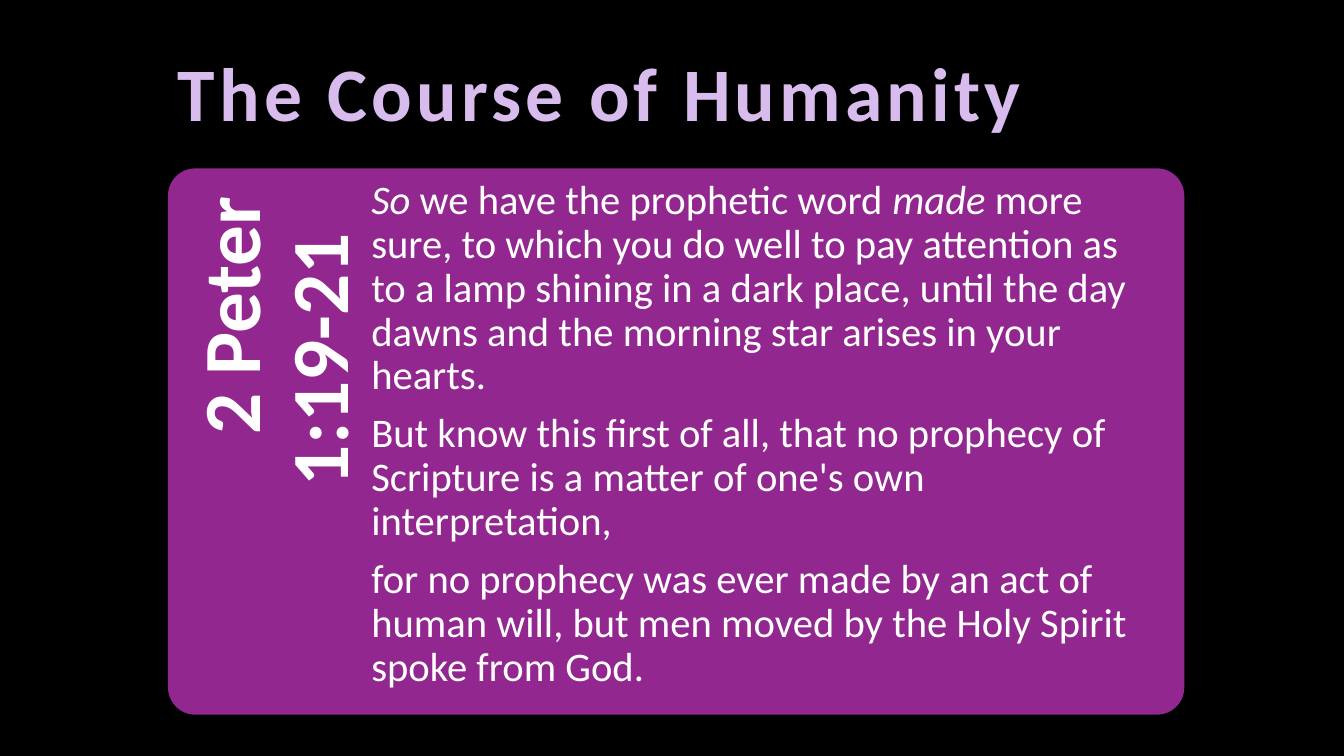
"""Build the slide "The Course of Humanity" with its scripture panel."""
from pptx import Presentation
from pptx.dml.color import RGBColor
from pptx.enum.shapes import MSO_SHAPE
from pptx.enum.text import MSO_ANCHOR, PP_ALIGN
from pptx.util import Inches, Pt

COLORS = {"background": "000000", "title": "D7BCED", "panel": "92278F", "text": "FFFFFF"}
WIDTH, HEIGHT = 13.33, 7.5
LEFT = WIDTH / 8
PANEL_TOP, PANEL_WIDTH, PANEL_HEIGHT = 1.67, 10.08, 5.42
REFERENCE_WIDTH = PANEL_WIDTH / 5
REFERENCE_LENGTH = 4.44

VERSES = [
    [("So", True), (" we have the prophetic word ", False), ("made", True),
     (" more sure, to which you do well to pay attention as to a lamp shining in a dark place, "
      "until the day dawns and the morning star arises in your hearts.", False)],
    [("But know this first of all, that no prophecy of Scripture is a matter of one's own "
      "interpretation,", False)],
    [("for no prophecy was ever made by an act of human will, but men moved by the Holy Spirit "
      "spoke from God.", False)],
]


def add_text_box(slide, position, insets, anchor=MSO_ANCHOR.TOP):
    box = slide.shapes.add_textbox(*[Inches(length) for length in position])
    frame = box.text_frame
    frame.word_wrap = True
    frame.vertical_anchor = anchor
    frame.margin_left, frame.margin_top, frame.margin_right, frame.margin_bottom = [
        Inches(inset) for inset in insets]
    return box


def add_run(paragraph, text, size, color, bold=False, italic=False):
    paragraph.line_spacing = 0.9
    run = paragraph.add_run()
    run.text = text
    run.font.name = "Calibri"
    run.font.size = Pt(size)
    run.font.bold = bold
    run.font.italic = italic
    run.font.color.rgb = RGBColor.from_string(COLORS[color])
    return run


presentation = Presentation()
presentation.slide_width = Inches(WIDTH)
presentation.slide_height = Inches(HEIGHT)
slide = presentation.slides.add_slide(presentation.slide_layouts[6])
slide.background.fill.solid()
slide.background.fill.fore_color.rgb = RGBColor.from_string(COLORS["background"])

title = add_text_box(slide, (LEFT, 0.42, 10, 1), (0.1, 0.05, 0.1, 0.05), MSO_ANCHOR.BOTTOM)
title_run = add_run(title.text_frame.paragraphs[0], "The Course of Humanity", 54, "title", bold=True)
title_run._r.get_or_add_rPr().set("spc", "300")

panel = slide.shapes.add_shape(MSO_SHAPE.ROUNDED_RECTANGLE, Inches(LEFT), Inches(PANEL_TOP),
                               Inches(PANEL_WIDTH), Inches(PANEL_HEIGHT))
panel.adjustments[0] = 0.05
panel.shadow.inherit = False
panel.fill.solid()
panel.fill.fore_color.rgb = RGBColor.from_string(COLORS["panel"])
panel.line.fill.background()

reference_left = LEFT + (REFERENCE_WIDTH - REFERENCE_LENGTH) / 2
reference_top = PANEL_TOP + (REFERENCE_LENGTH - REFERENCE_WIDTH) / 2
reference = add_text_box(slide, (reference_left, reference_top, REFERENCE_LENGTH, REFERENCE_WIDTH),
                         (0, 0.22, 0.28, 0))
reference.rotation = 270
reference_paragraph = reference.text_frame.paragraphs[0]
reference_paragraph.alignment = PP_ALIGN.RIGHT
add_run(reference_paragraph, "2 Peter 1:19-21  ", 58, "text", bold=True)

passage = add_text_box(slide, (LEFT + REFERENCE_WIDTH, PANEL_TOP, 7.51, PANEL_HEIGHT),
                       (0, 0.11, 0, 0))
for index, verse in enumerate(VERSES):
    frame = passage.text_frame
    paragraph = frame.add_paragraph() if index else frame.paragraphs[0]
    paragraph.space_after = Pt(10)
    for text, italic in verse:
        add_run(paragraph, text, 29, "text", italic=italic)

presentation.save("out.pptx")
